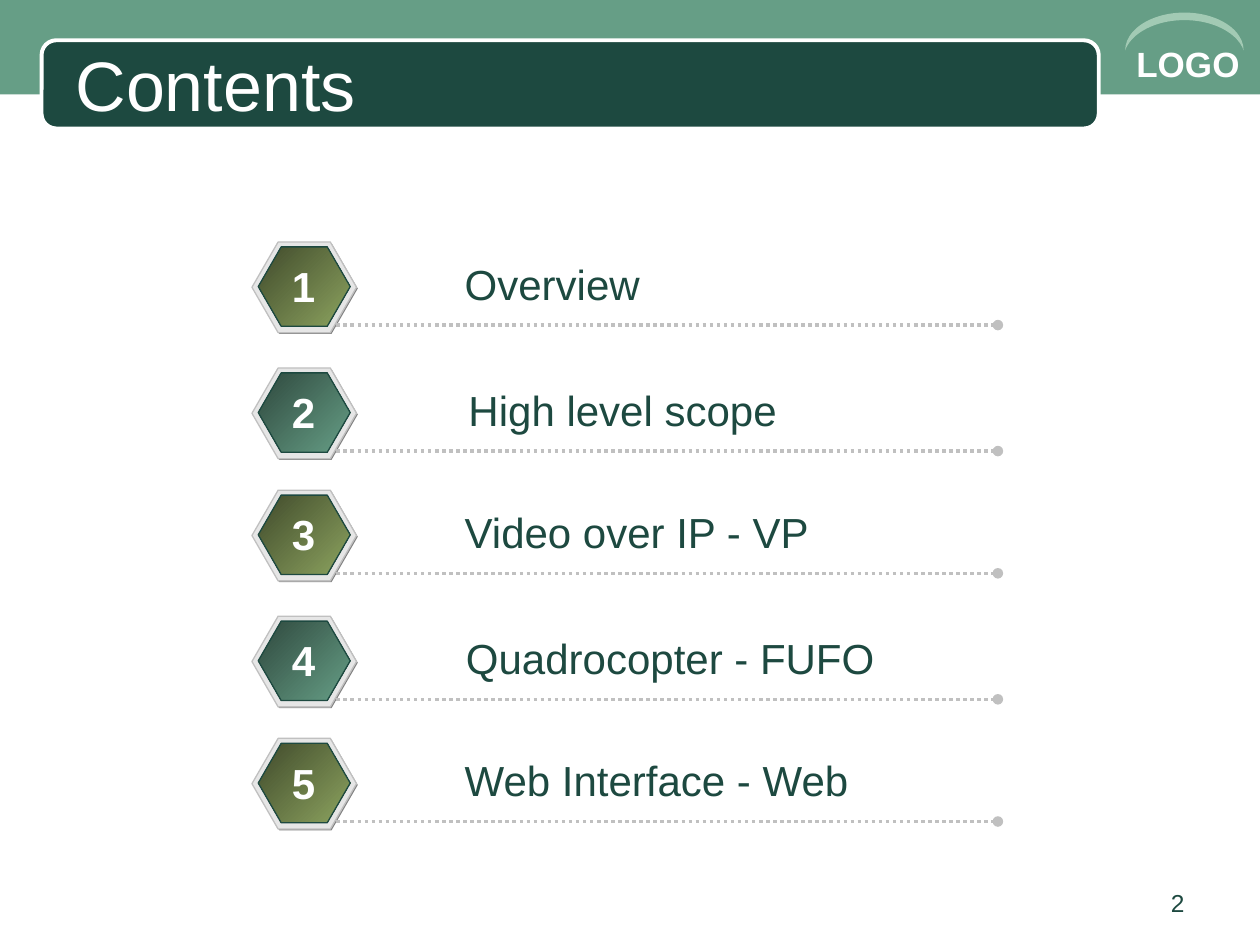
import pptx
import pptx.util
import pptx.dml.color
import pptx.enum.dml
import pptx.enum.shapes
import pptx.enum.text
import pptx.oxml
import pptx.oxml.ns

Inches = pptx.util.Inches
Pt = pptx.util.Pt
RGB = pptx.dml.color.RGBColor.from_string
SHAPE = pptx.enum.shapes.MSO_SHAPE
ALIGN = pptx.enum.text.PP_ALIGN
ANCHOR = pptx.enum.text.MSO_ANCHOR

TITLE = "Contents"
LOGO_WORD = "LOGO"
PAGE_NUMBER = "2"
# topic, top of its row, left edge of its label
TOPICS = [
    ("Overview", 1.92, 3.59),
    ("High level scope", 2.92, 3.62),
    ("Video over IP - VP", 3.89, 3.59),
    ("Quadrocopter - FUFO", 4.89, 3.6),
    ("Web Interface - Web", 5.86, 3.59),
]

THEME = {
    "font": "Arial",
    "white": "FFFFFF",
    "dark": "1D4940",
    "band": "669E86",
    "arc": "A2CAB4",
    "rule": "C0C0C0",
    "rim": "E6E6E6",
    "rim_shade": "808080",
    "badges": [("414B2C", "8CA35F"), ("2F493E", "669E86")],
    "title_size": 40,
    "topic_size": 24,
    "logo_size": 20,
    "page_size": 14,
}


def write(shape, text, size, color, bold=False, align=ALIGN.LEFT,
          anchor=ANCHOR.TOP, wrap=True):
    frame = shape.text_frame
    frame.word_wrap = wrap
    frame.auto_size = pptx.enum.text.MSO_AUTO_SIZE.NONE
    frame.vertical_anchor = anchor
    paragraph = frame.paragraphs[0]
    paragraph.alignment = align
    run = paragraph.add_run()
    run.text = text
    run.font.name = THEME["font"]
    run.font.size = Pt(size)
    run.font.bold = bold
    run.font.color.rgb = RGB(color)


def box(shapes, *place):
    return shapes.add_textbox(*map(Inches, place))


def add_block(shapes, kind, place, fill, line=None, line_width=0.75, adjust=()):
    """Add a preset shape; a pair of colours as fill makes a diagonal gradient."""
    block = shapes.add_shape(kind, *map(Inches, place))
    block.shadow.inherit = False
    for index, value in enumerate(adjust):
        block.adjustments[index] = value
    if isinstance(fill, tuple):
        block.fill.gradient()
        block.fill.gradient_angle = 315
        for stop, color in zip(block.fill.gradient_stops, fill):
            stop.color.rgb = RGB(color)
    else:
        block.fill.solid()
        block.fill.fore_color.rgb = RGB(fill)
    if line:
        block.line.color.rgb = RGB(line)
        block.line.width = Pt(line_width)
    else:
        block.line.fill.background()
    return block


def add_badge(slide, top, gradient):
    hexagons = slide.shapes.add_group_shape().shapes
    layers = [
        ((2.01, top + 0.01, 0.83, 0.72), THEME["rim_shade"], None),
        ((2, top, 0.83, 0.72), THEME["rim"], THEME["rule"]),
        ((2.05, top + 0.04, 0.73, 0.63), gradient, THEME["dark"]),
    ]
    for place, fill, line in layers:
        add_block(hexagons, SHAPE.HEXAGON, place, fill, line, adjust=(0.289, 1.155))


def add_dotted_rule(slide, y):
    rule = slide.shapes.add_connector(
        pptx.enum.shapes.MSO_CONNECTOR.STRAIGHT,
        Inches(2.67), Inches(y), Inches(7.92), Inches(y))
    rule.line.color.rgb = RGB(THEME["rule"])
    rule.line.width = Pt(2)
    rule.line.dash_style = pptx.enum.dml.MSO_LINE.ROUND_DOT
    tail = pptx.oxml.parse_xml(
        '<a:tailEnd %s type="oval"/>' % pptx.oxml.ns.nsdecls("a"))
    rule.line._get_or_add_ln().append(tail)
    effects = pptx.oxml.parse_xml("<a:effectLst %s/>" % pptx.oxml.ns.nsdecls("a"))
    rule._element.spPr.append(effects)


def add_header(slide):
    shapes = slide.shapes
    add_block(shapes, SHAPE.RECTANGLE, (0, 0, 10, 0.75), THEME["band"])
    add_block(shapes, SHAPE.ROUNDED_RECTANGLE, (0.33, 0.32, 8.39, 0.7),
              THEME["dark"], THEME["white"], 2.25, (0.167,))
    write(box(shapes, 8.92, 0.29, 1.08, 0.44), LOGO_WORD, THEME["logo_size"],
          THEME["white"], bold=True)
    arc = add_block(shapes, SHAPE.MOON, (9.25, -0.22, 0.3, 0.94), THEME["arc"],
                    adjust=(0.2,))
    arc.rotation = 90

    title = shapes.title
    title.left, title.top, title.width, title.height = map(
        Inches, (0.5, 0.35, 8.08, 0.62))
    write(title, TITLE, THEME["title_size"], THEME["white"], anchor=ANCHOR.MIDDLE)
    shapes._spTree.append(title._element)  # bring in front of the title bar


def add_topic(slide, number, topic, top, label_left):
    gradients = THEME["badges"]
    add_badge(slide, top, gradients[(number - 1) % len(gradients)])
    add_dotted_rule(slide, top + 0.66)
    write(box(slide.shapes, label_left, top + 0.08, 3.5, 0.5), topic,
          THEME["topic_size"], THEME["dark"], wrap=False)
    write(box(slide.shapes, 2.22, top + 0.1, 0.38, 0.5), str(number),
          THEME["topic_size"], THEME["white"], bold=True, align=ALIGN.CENTER,
          wrap=False)


def main():
    deck = pptx.Presentation()
    deck.slide_width, deck.slide_height = Inches(10), Inches(7.5)
    slide = deck.slides.add_slide(deck.slide_layouts[5])
    add_header(slide)
    for number, (topic, top, label_left) in enumerate(TOPICS, 1):
        add_topic(slide, number, topic, top, label_left)
    write(box(slide.shapes, 7.17, 7, 2.33, 0.35), PAGE_NUMBER,
          THEME["page_size"], THEME["dark"], align=ALIGN.RIGHT)
    deck.save("out.pptx")


if __name__ == "__main__":
    main()
